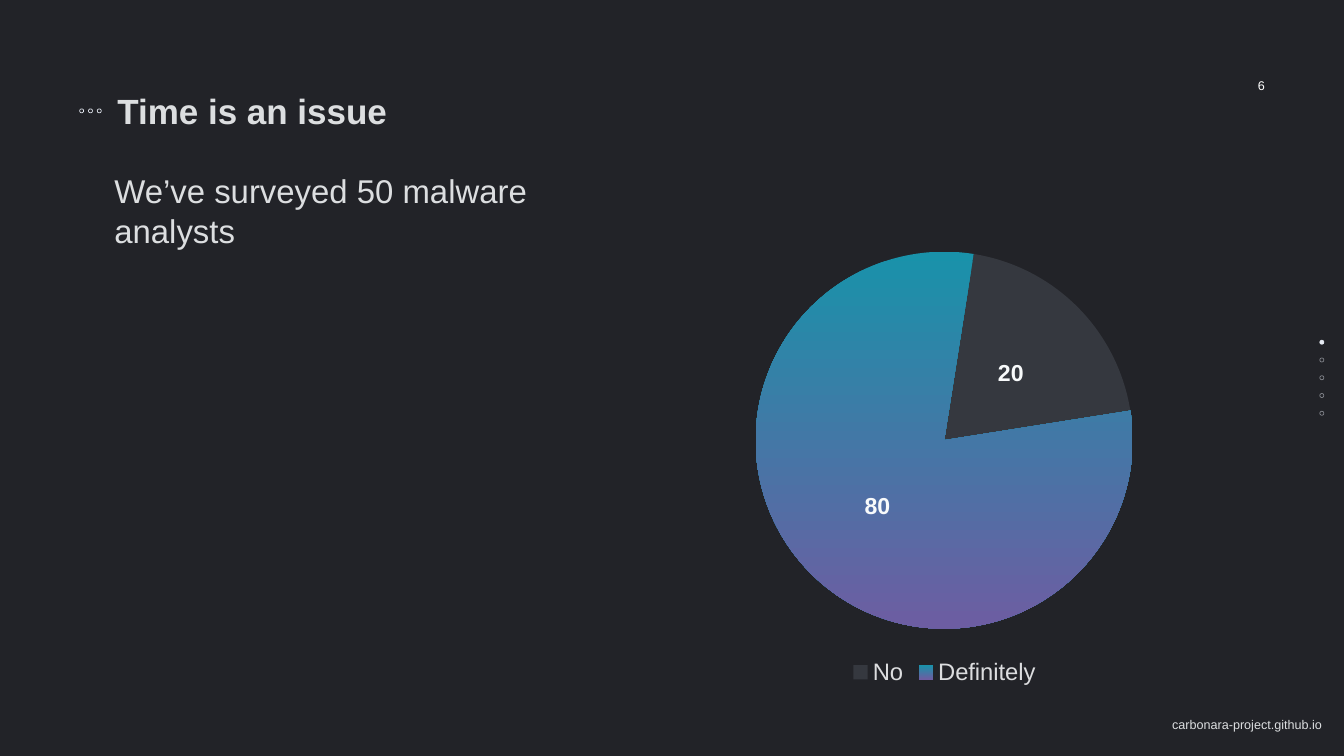
from dataclasses import dataclass

from lxml import etree
from pptx import Presentation
from pptx.chart.data import CategoryChartData
from pptx.dml.color import RGBColor
from pptx.enum.chart import XL_CHART_TYPE, XL_LABEL_POSITION, XL_LEGEND_POSITION
from pptx.enum.shapes import MSO_SHAPE
from pptx.enum.text import MSO_ANCHOR, PP_ALIGN
from pptx.oxml.ns import qn
from pptx.util import Inches, Pt

PIE = XL_CHART_TYPE.PIE
CENTER = XL_LABEL_POSITION.CENTER
BOTTOM = XL_LEGEND_POSITION.BOTTOM
OVAL = MSO_SHAPE.OVAL
TOP = MSO_ANCHOR.TOP
MIDDLE = MSO_ANCHOR.MIDDLE
LEFT = PP_ALIGN.LEFT
RIGHT = PP_ALIGN.RIGHT

FONT = "Arial"
COLORS = {
    "background": "222328",
    "text": "DCDEE0",
    "number": "FFFFFF",
    "dot": "E6EAF3",
    "no": "35383F",
    "definitely_top": "1992AA",
    "definitely_bottom": "6D5DA2",
    "value": "F8FAFB",
    "legend": "DCDDDF",
}
DOT_SIZE = 0.08
START_ANGLE = 9
PLOT_LAYOUT = {"x": 0.009, "y": 0.005, "w": 0.981, "h": 0.855}


@dataclass(frozen=True)
class Label:
    text: str
    left: float
    top: float
    width: float
    height: float
    size: int
    color: str = "text"
    bold: bool = False
    align: PP_ALIGN = LEFT
    anchor: MSO_ANCHOR = MIDDLE
    wrap: bool = False


@dataclass(frozen=True)
class Dot:
    left: float
    top: float
    filled: bool = False
    opacity: int = 100


TITLE = Label("Time is an issue", 2.27, 1.73, 5.48, 0.94, 50, bold=True)
LABELS = [
    Label("carbonara-project.github.io", 23.2, 14.17, 3.1, 0.42, 18),
    Label("6", 24.9, 1.49, 0.26, 0.42, 18, "number", align=RIGHT, anchor=TOP),
    Label("We’ve surveyed 50 malware analysts", 2.21, 3.73, 10.89, 0.89, 47, wrap=True),
]
TITLE_DOTS = [Dot(1.58 + 0.175 * step, 2.16) for step in range(3)]
PAGER_DOTS = [
    Dot(26.19, 6.75 + 0.3525 * step, filled=step == 0, opacity=100 if step == 0 else 51)
    for step in range(5)
]


def color(name: str) -> RGBColor:
    return RGBColor.from_string(COLORS[name])


def set_font(font, size: int, color_name: str, bold: bool = False) -> None:
    for name, value in {"name": FONT, "size": Pt(size), "bold": bold}.items():
        setattr(font, name, value)
    font.color.rgb = color(color_name)


def write_label(box, label: Label) -> None:
    for name in ("left", "top", "width", "height"):
        setattr(box, name, Inches(getattr(label, name)))
    frame = box.text_frame
    for side in ("left", "top", "right", "bottom"):
        setattr(frame, f"margin_{side}", Inches(0.06))
    frame.word_wrap = label.wrap
    frame.vertical_anchor = label.anchor
    para = frame.paragraphs[0]
    para.alignment = label.align
    span = para.add_run()
    span.text = label.text
    set_font(span.font, label.size, label.color, label.bold)


def draw_dot(page, dot: Dot) -> None:
    shape = page.shapes.add_shape(
        OVAL, Inches(dot.left), Inches(dot.top), Inches(DOT_SIZE), Inches(DOT_SIZE)
    )
    shape.shadow.inherit = False
    if dot.filled:
        shape.fill.solid()
        shape.fill.fore_color.rgb = color("dot")
    else:
        shape.fill.background()
    shape.line.width = Pt(1)
    shape.line.color.rgb = color("dot")
    if dot.opacity < 100:
        line_color = shape.line._get_or_add_ln().find(".//" + qn("a:srgbClr"))
        etree.SubElement(line_color, qn("a:alpha"), val=str(dot.opacity * 1000))


def place_plot(chart) -> None:
    plot_area = chart._chartSpace.chart.plotArea
    for old in plot_area.findall(qn("c:layout")):
        plot_area.remove(old)
    layout = etree.Element(qn("c:layout"))
    manual = etree.SubElement(layout, qn("c:manualLayout"))
    settings = {"layoutTarget": "inner", "xMode": "edge", "yMode": "edge", **PLOT_LAYOUT}
    for name, value in settings.items():
        etree.SubElement(manual, qn(f"c:{name}"), val=str(value))
    plot_area.insert(0, layout)


def draw_survey_pie(page) -> None:
    data = CategoryChartData(number_format="0")
    data.categories = ["No", "Definitely"]
    data.add_series("Series 1", [20, 80])
    chart = page.shapes.add_chart(
        PIE, Inches(14.87), Inches(4.95), Inches(7.74), Inches(8.75), data
    ).chart
    chart.has_title = False
    chart.has_legend = True
    chart.legend.position = BOTTOM
    chart.legend.include_in_layout = True
    set_font(chart.legend.font, 34, "legend")

    plot = chart.plots[0]
    plot.vary_by_categories = True
    plot.has_data_labels = True
    labels = plot.data_labels
    settings = {
        "show_value": True,
        "show_percentage": False,
        "number_format": "0",
        "number_format_is_linked": False,
        "position": CENTER,
    }
    for name, value in settings.items():
        setattr(labels, name, value)
    set_font(labels.font, 33, "value", True)

    points = plot.series[0].points
    for index in range(2):
        points[index].format.line.fill.background()
    no_fill = points[0].format.fill
    no_fill.solid()
    no_fill.fore_color.rgb = color("no")
    definitely_fill = points[1].format.fill
    definitely_fill.gradient()
    definitely_fill.gradient_angle = 270
    stops = zip(definitely_fill.gradient_stops, ("definitely_top", "definitely_bottom"))
    for position, (stop, name) in enumerate(stops):
        stop.position = position
        stop.color.rgb = color(name)

    pie = chart._chartSpace.find(".//" + qn("c:pieChart"))
    for old in pie.findall(qn("c:firstSliceAng")):
        pie.remove(old)
    etree.SubElement(pie, qn("c:firstSliceAng"), val=str(START_ANGLE))
    place_plot(chart)


def main() -> None:
    deck = Presentation()
    deck.slide_width, deck.slide_height = Inches(26.67), Inches(15)
    page = deck.slides.add_slide(deck.slide_layouts[5])
    page.background.fill.solid()
    page.background.fill.fore_color.rgb = color("background")
    write_label(page.shapes.title, TITLE)
    for label in LABELS:
        box = page.shapes.add_textbox(0, 0, 0, 0)
        write_label(box, label)
    for dot in TITLE_DOTS + PAGER_DOTS:
        draw_dot(page, dot)
    draw_survey_pie(page)
    deck.save("out.pptx")


if __name__ == "__main__":
    main()
